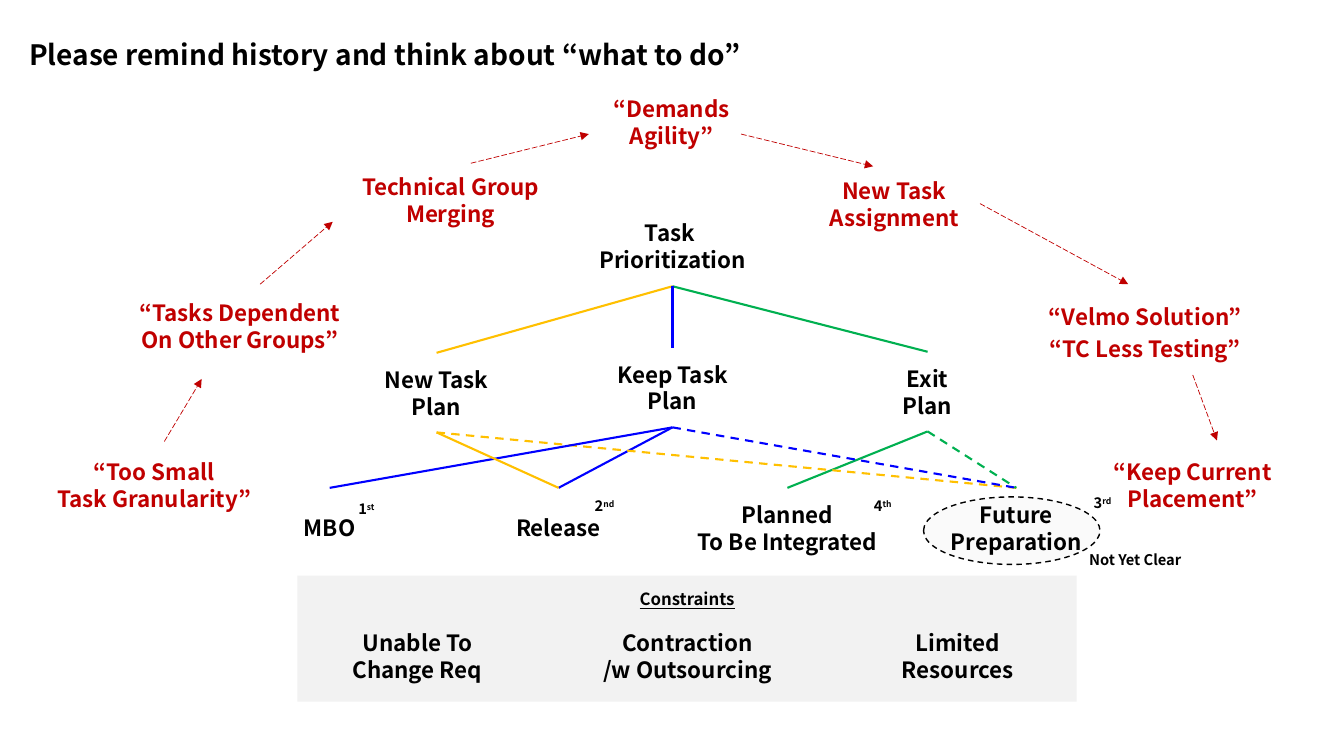
from lxml.etree import SubElement
from pptx import Presentation
from pptx.dml.color import RGBColor
from pptx.enum.dml import MSO_LINE as Dash
from pptx.enum.shapes import MSO_CONNECTOR as Link, MSO_SHAPE as Kind
from pptx.enum.text import MSO_ANCHOR as Anchor, PP_ALIGN as Align
from pptx.oxml.ns import qn
from pptx.util import Pt

PX = 9144
BLACK, RED, GOLD, GREEN, BLUE = "000000", "C00000", "FFC000", "00B050", "0000FF"
FONT = {"name": "Noto Sans CJK KR", "bold": True}
BOTTOM, TOP = 2, 0

NOTES = [
    (295, 119, 159, ["Technical Group", "Merging"], 0),
    (735, 123, 159, ["New Task", "Assignment"], 0),
    (1031, 402, 159, ["“Keep Current", "Placement”"], 0),
    (1, 402, 159, ["“Too Small", "Task Granularity”"], 0),
    (86, 244, 159, ["“Tasks Dependent", "On Other Groups”"], 0),
    (514, 60, 122, ["“Demands", "Agility”"], 0),
    (984, 250, 159, ["“Velmo Solution”", "“TC Less Testing”"], 3.6),
]
ARROWS = [
    (163, 438, 200, 376), (258, 282, 330, 220), (467, 162, 584, 133),
    (735, 133, 866, 165), (972, 202, 1119, 282), (1183, 372, 1207, 437),
]
PLANS = {
    "new": (315, 350, ["New Task", "Plan"]),
    "keep": (549, 345, ["Keep Task", "Plan"]),
    "exit": (802, 349, ["Exit", "Plan"]),
}
GOALS = {
    "mbo": ["MBO"],
    "release": ["Release"],
    "planned": ["Planned", "To Be Integrated"],
    "future": ["Future", "Preparation"],
}
LIMITS = [["Unable To", "Change Req"], ["Contraction", "/w Outsourcing"],
          ["Limited", "Resources"]]
ROOTS = [("new", GOLD, 1.5), ("exit", GREEN, 1.5), ("keep", BLUE, 2.25)]
PATHS = [
    ("keep", "release", BLUE, None), ("exit", "planned", GREEN, None),
    ("new", "future", GOLD, Dash.DASH), ("keep", "mbo", BLUE, None),
    ("new", "release", GOLD, None), ("keep", "future", BLUE, Dash.DASH),
    ("exit", "future", GREEN, Dash.DASH),
]
RANKS = [(345, 491, 37, "1", "st"), (579, 488, 41, "2", "nd"),
         (1074, 485, 39, "3", "rd"), (856, 488, 39, "4", "th")]


def shade(form, color):
    form.rgb = RGBColor.from_string(color)


def style(item, values):
    for name, value in values.items():
        setattr(item, name, value)


def write(par, words, size, color, **more):
    run = par.add_run()
    run.text = words
    style(run.font, {**FONT, "size": Pt(size), **more})
    shade(run.font.color, color)
    return run


def label(slide, place, lines, size=16, color=BLACK, align=Align.CENTER,
          gap=0, wrap=True, anchor=Anchor.MIDDLE):
    box = slide.shapes.add_textbox(*(n * PX for n in place))
    frame = box.text_frame
    style(frame, {"word_wrap": wrap, "vertical_anchor": anchor})
    for i, words in enumerate(lines):
        par = frame.add_paragraph() if i else frame.paragraphs[0]
        par.alignment = align
        if i and gap:
            par.space_before = Pt(gap)
        write(par, words, size, color)
    return box


def rank(slide, left, top, width, digit, suffix):
    box = label(slide, (left, top, width, 28), [digit], 10.5,
                wrap=False, anchor=Anchor.TOP)
    run = write(box.text_frame.paragraphs[0], suffix, 10.5, BLACK)
    run.font._element.set("baseline", "30000")


def panel(slide, kind, place, fill):
    shape = slide.shapes.add_shape(kind, *(n * PX for n in place))
    shape.shadow.inherit = False
    shape.fill.solid()
    shade(shape.fill.fore_color, fill)
    shape.line.fill.background()
    return shape


def stroke(line, color, width, dash=None):
    line.fill.solid()
    shade(line.fill.fore_color, color)
    style(line, {"width": Pt(width), "dash_style": dash})


def draw(slide, ends, color, width, dash=None):
    link = slide.shapes.add_connector(Link.STRAIGHT, *(n * PX for n in ends))
    stroke(link.line, color, width, dash)
    SubElement(link._element.spPr, qn("a:effectLst"))
    return link


def arrow(slide, ends):
    link = draw(slide, ends, RED, 0.5, Dash.LONG_DASH)
    SubElement(link.line._get_or_add_ln(), qn("a:tailEnd"), type="triangle")


def join(slide, start, end, color, width, dash=None):
    link = draw(slide, (0, 0, 0, 0), color, width, dash)
    link.begin_connect(start, BOTTOM)
    link.end_connect(end, TOP)


def main():
    deck = Presentation()
    style(deck, {"slide_width": 1333 * PX, "slide_height": 750 * PX})
    slide = deck.slides.add_slide(deck.slide_layouts[6])

    oval = panel(slide, Kind.OVAL, (916, 493, 175, 67), "E7E6E6")
    tint = oval._element.spPr.find(qn("a:solidFill"))[0]
    SubElement(tint, qn("a:alpha"), val="20000")
    stroke(oval.line, BLACK, 1, Dash.DASH)

    base = panel(slide, Kind.RECTANGLE, (295, 571, 773, 125), "F2F2F2")
    frame = base.text_frame
    style(frame, {"vertical_anchor": Anchor.TOP, "margin_top": 13 * PX})
    frame.paragraphs[0].alignment = Align.CENTER
    write(frame.paragraphs[0], "Constraints", 12, BLACK, underline=True)

    label(slide, (19, 19, 1295, 70),
          ["Please remind history and think about “what to do”"], 20,
          align=Align.LEFT)
    for left, top, height, lines, gap in NOTES:
        label(slide, (left, top, 304, height), lines, color=RED, gap=gap)
    for ends in ARROWS:
        arrow(slide, ends)

    root = label(slide, (549, 205, 236, 79), ["Task ", "Prioritization"])
    nodes = {name: label(slide, (left, top, 236, 79), lines)
             for name, (left, top, lines) in PLANS.items()}
    for i, (name, lines) in enumerate(GOALS.items()):
        nodes[name] = label(slide, (209 + 227 * i, 484, 236, 79), lines)
    for i, lines in enumerate(LIMITS):
        label(slide, (296 + 268 * i, 611, 236, 79), lines)

    for name, color, width in ROOTS:
        join(slide, root, nodes[name], color, width)
    for start, end, color, dash in PATHS:
        join(slide, nodes[start], nodes[end], color, 1.5, dash)

    label(slide, (1066, 542, 120, 29), ["Not Yet Clear"], 10.5,
          wrap=False, anchor=Anchor.TOP)
    for item in RANKS:
        rank(slide, *item)
    deck.save("out.pptx")


if __name__ == "__main__":
    main()
